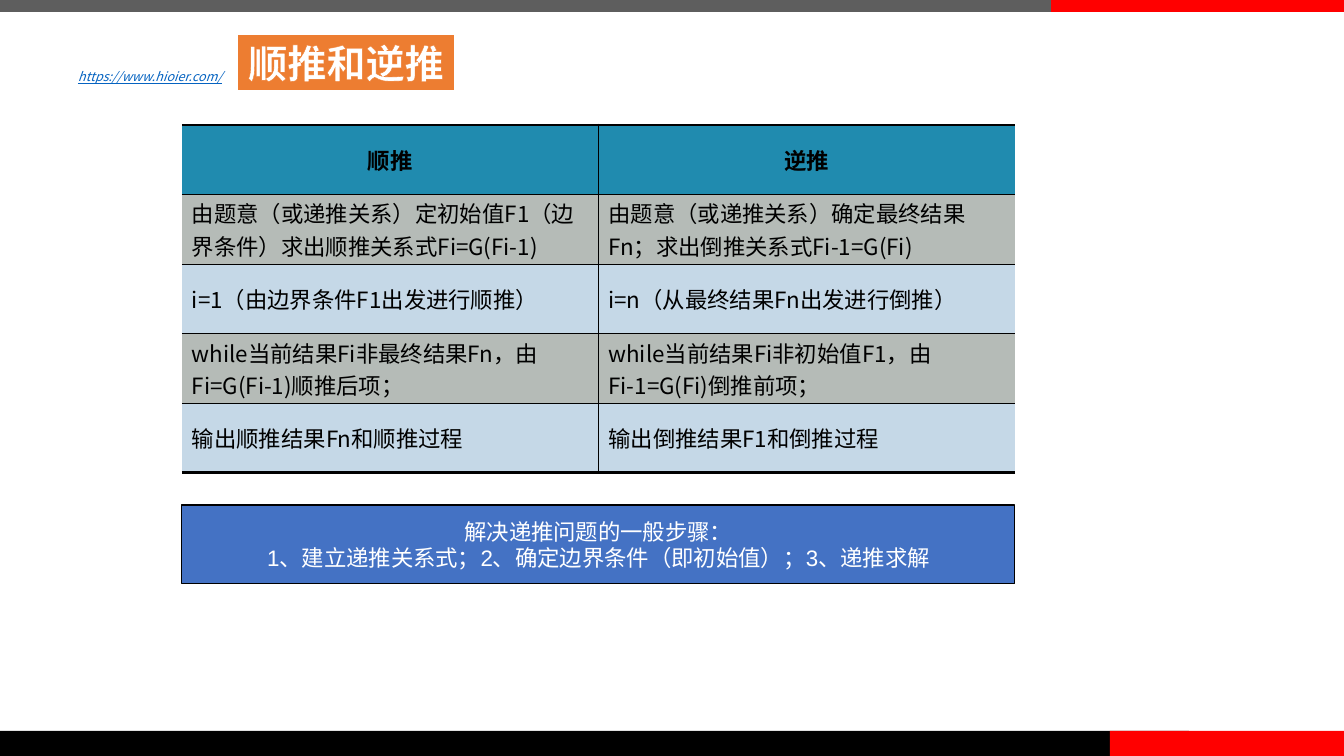
from lxml.etree import SubElement
from pptx import Presentation
from pptx.dml.color import RGBColor
from pptx.enum.shapes import MSO_SHAPE
from pptx.enum.text import MSO_ANCHOR, PP_ALIGN
from pptx.oxml import parse_xml
from pptx.oxml.ns import nsdecls, qn
from pptx.util import Pt

CJK_FONT = "Noto Sans CJK SC"
BANDS = [
    (0, 0, 1090, 12, "5E5E5E"),
    (0, 731, 1189, 25, "000000"),
    (1110, 731, 234, 25, "FF0000"),
    (1051, 0, 293, 12, "FF0000"),
]
ADDRESS = "https://www.hioier.com/"
TITLE = "顺推和逆推"
COMPARISON = [
    ("顺推", "逆推"),
    ("由题意（或递推关系）定初始值F1（边界条件）求出顺推关系式Fi=G(Fi-1)",
     "由题意（或递推关系）确定最终结果Fn；求出倒推关系式Fi-1=G(Fi)"),
    ("i=1（由边界条件F1出发进行顺推）", "i=n（从最终结果Fn出发进行倒推）"),
    ("while当前结果Fi非最终结果Fn，由Fi=G(Fi-1)顺推后项；",
     "while当前结果Fi非初始值F1，由Fi-1=G(Fi)倒推前项；"),
    ("输出顺推结果Fn和顺推过程", "输出倒推结果F1和倒推过程"),
]
HEADER_FILL = "208BAF"
ROW_FILLS = ["C5D8E7", "B5BBB7"]
STEPS = ["解决递推问题的一般步骤：",
         "1、建立递推关系式；2、确定边界条件（即初始值）；3、递推求解"]

PAGE_WIDTH, PAGE_HEIGHT = 1344, 756
TABLE_LEFT, TABLE_TOP, TABLE_WIDTH, TABLE_HEIGHT = 182, 125, 833, 348
EMU_PER_INCH, PX_PER_INCH = 914400, 100.8


def px(length):
    return round(length * EMU_PER_INCH / PX_PER_INCH)


def color(value):
    return RGBColor.from_string(value)


def write(frame, lines, size, font, ink, align=PP_ALIGN.LEFT,
          bold=False, italic=False, underline=False):
    frame.text = "\n".join(lines)
    for para in frame.paragraphs:
        para.alignment = align
        for span in para.runs:
            span.font.size = Pt(size)
            span.font.name = font
            span.font.color.rgb = color(ink)
            span.font.bold = bold
            span.font.italic = italic
            span.font.underline = underline
            east_asian = SubElement(span.font._element, qn("a:ea"))
            east_asian.set("typeface", CJK_FONT)


def add_rectangle(page, left, top, width, height, fill, line=None, weight=0):
    box = page.shapes.add_shape(MSO_SHAPE.RECTANGLE, px(left), px(top), px(width), px(height))
    box.shadow.inherit = False
    box.fill.solid()
    box.fill.fore_color.rgb = color(fill)
    if line:
        box.line.color.rgb = color(line)
        box.line.width = Pt(weight)
    else:
        box.line.fill.background()
    return box


def line_xml(tag, weight, ink):
    return parse_xml(f'<a:{tag} {nsdecls("a")} w="{Pt(weight)}"><a:solidFill>'
                     f'<a:srgbClr val="{ink}"/></a:solidFill></a:{tag}>')


def set_borders(cell, row, column):
    last_row, last_column = len(COMPARISON) - 1, len(COMPARISON[0]) - 1
    weights = {
        "lnL": 1 if column > 0 else 0,
        "lnR": 1 if column < last_column else 0,
        "lnT": 1 if row > 0 else 2.25,
        "lnB": 1 if row < last_row else 2.25,
    }
    properties = cell._tc.get_or_add_tcPr()
    for position, (tag, weight) in enumerate(weights.items()):
        if weight:
            border = line_xml(tag, weight, "000000")
        else:
            border = parse_xml(f'<a:{tag} {nsdecls("a")} w="0"><a:noFill/></a:{tag}>')
        properties.insert(position, border)


def add_comparison(page):
    rows, columns = len(COMPARISON), len(COMPARISON[0])
    table = page.shapes.add_table(rows, columns, px(TABLE_LEFT), px(TABLE_TOP),
                                  px(TABLE_WIDTH), px(TABLE_HEIGHT)).table
    for table_row in table.rows:
        table_row.height = px(TABLE_HEIGHT / rows)
    for row, texts in enumerate(COMPARISON):
        header = row == 0
        for column, text in enumerate(texts):
            cell = table.cell(row, column)
            cell.margin_top = cell.margin_bottom = 0
            cell.margin_left = cell.margin_right = px(10)
            cell.vertical_anchor = MSO_ANCHOR.MIDDLE
            cell.fill.solid()
            cell.fill.fore_color.rgb = color(HEADER_FILL if header else ROW_FILLS[row % 2])
            write(cell.text_frame, [text], 16, CJK_FONT, "000000",
                  PP_ALIGN.CENTER if header else PP_ALIGN.LEFT, bold=header)
            set_borders(cell, row, column)


def main():
    deck = Presentation()
    deck.slide_width, deck.slide_height = px(PAGE_WIDTH), px(PAGE_HEIGHT)
    page = deck.slides.add_slide(deck.slide_layouts[6])

    for band in BANDS:
        add_rectangle(page, *band)

    address = page.shapes.add_textbox(px(68), px(64), px(672), px(25)).text_frame
    address.word_wrap = True
    write(address, [ADDRESS], 9, CJK_FONT, "0563C1", italic=True, underline=True)

    add_comparison(page)

    steps = add_rectangle(page, TABLE_LEFT, 505, TABLE_WIDTH, 79, "4472C4", "000000", 0.75)
    steps.text_frame.word_wrap = False
    steps.text_frame.vertical_anchor = MSO_ANCHOR.MIDDLE
    write(steps.text_frame, STEPS, 16, "Arial", "FFFFFF", PP_ALIGN.CENTER)

    title = add_rectangle(page, 237, 34, 218, 57, "ED7D31", "FFFFFF", 1.5)
    title.text_frame.word_wrap = False
    title.text_frame.vertical_anchor = MSO_ANCHOR.TOP
    write(title.text_frame, [TITLE], 28, CJK_FONT, "FFFFFF", PP_ALIGN.CENTER, bold=True)
    title_font = title.text_frame.paragraphs[0].runs[0].font
    title_font._element.insert(0, line_xml("ln", 0.52, "ED7D31"))

    deck.save("out.pptx")


if __name__ == "__main__":
    main()
